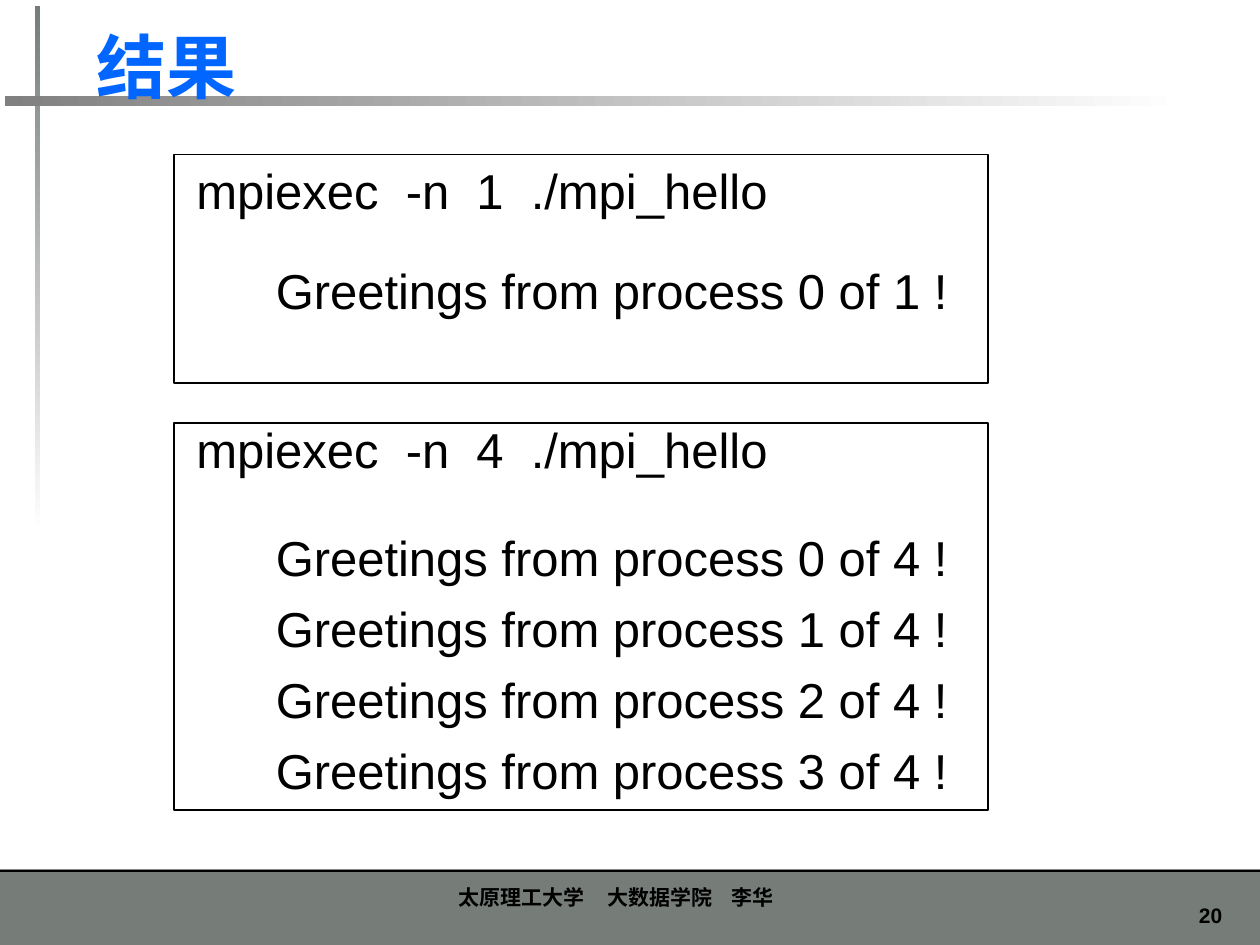
"""Build the slide that shows the output of the MPI hello program."""
from lxml.etree import SubElement
from pptx import Presentation
from pptx.dml.color import RGBColor
from pptx.enum.shapes import MSO_SHAPE as Preset
from pptx.enum.text import MSO_ANCHOR as Anchor, PP_ALIGN as Align
from pptx.oxml.ns import qn
from pptx.util import Cm, Pt


def color(value):
    return RGBColor.from_string(value)


class SlideBuilder:
    font = "Arial"
    black = "000000"
    gray = "767D79"
    accent = "0066FF"
    code_size = 28

    def __init__(self, slide):
        self.slide = slide

    def rectangle(self, box):
        shape = self.slide.shapes.add_shape(Preset.RECTANGLE, *map(Cm, box))
        shape.shadow.inherit = False
        return shape

    def bar(self, box, fill):
        shape = self.rectangle(box)
        shape.fill.solid()
        shape.fill.fore_color.rgb = color(fill)
        shape.line.fill.background()

    def fading_bar(self, box, start, angle):
        shape = self.rectangle(box)
        shape.fill.gradient()
        shape.fill.gradient_angle = angle
        for stop, value in zip(shape.fill.gradient_stops, (start, "FFFFFF")):
            stop.color.rgb = color(value)
        shape.line.fill.background()

    def frame(self, box):
        shape = self.rectangle(box)
        shape.fill.background()
        shape.line.color.rgb = color(self.black)
        shape.line.width = Pt(0.75)

    def text(self, box, lines, size, bold=False, fill=black, align=Align.LEFT,
             anchor=Anchor.TOP, inset=0.25, tabs=(), spacing=None, before=0):
        frame = self.slide.shapes.add_textbox(*map(Cm, box)).text_frame
        frame.word_wrap = True
        frame.vertical_anchor = anchor
        frame.margin_left = Cm(inset)
        for index, line in enumerate(lines):
            paragraph = frame.add_paragraph() if index else frame.paragraphs[0]
            paragraph.alignment = align
            if spacing:
                paragraph.line_spacing = Pt(spacing)
            if index:
                paragraph.space_before = Pt(before)
            if tabs:
                tab_list = SubElement(paragraph._p.get_or_add_pPr(), qn("a:tabLst"))
                for position in tabs:
                    SubElement(tab_list, qn("a:tab"), pos=str(Cm(position)), algn="l")
            run = paragraph.add_run()
            run.text = line
            run.font.name = self.font
            run.font.size = Pt(size)
            run.font.bold = bold
            run.font.color.rgb = color(fill)

    def code(self, box, lines):
        self.text(box, lines, self.code_size, spacing=33.5, before=7)

    def example(self, processes, frame_box, command_top, output_top, output_height):
        self.code((3.71, command_top, 13.59, 1.45),
                  [f"mpiexec  -n  {processes}  ./mpi_hello"])
        self.code((5.31, output_top, 16.41, output_height),
                  [f"Greetings from process {rank} of {processes} !"
                   for rank in range(processes)])
        self.frame(frame_box)


def main():
    presentation = Presentation()
    presentation.slide_width = Cm(25.4)
    presentation.slide_height = Cm(19.05)
    builder = SlideBuilder(presentation.slides.add_slide(presentation.slide_layouts[6]))

    builder.bar((0, 17.53, 25.4, 1.52), builder.gray)
    builder.bar((0, 17.53, 25.4, 0.05), builder.black)
    builder.text((23.29, 18.06, 1.6, 0.76), ["20"], 12, bold=True, align=Align.RIGHT)
    builder.fading_bar((0.71, 0.13, 0.1, 10.59), builder.gray, 270)
    builder.fading_bar((0.1, 1.93, 23.8, 0.2), "808080", 0)
    builder.text((2.59, 17.48, 20.19, 0.99), ["太原理工大学\t大数据学院\t李华"], 12,
                 bold=True, anchor=Anchor.BOTTOM, inset=6.65, tabs=(3.0, 5.5))
    builder.text((1.7, 0.33, 23.01, 1.96), ["结果"], 40, bold=True,
                 fill=builder.accent, anchor=Anchor.BOTTOM)

    builder.example(1, (3.51, 3.12, 16.41, 4.6), 3.12, 5.13, 1.45)
    builder.example(4, (3.51, 8.53, 16.41, 7.8), 8.33, 10.52, 5.74)
    presentation.save("out.pptx")


if __name__ == "__main__":
    main()
